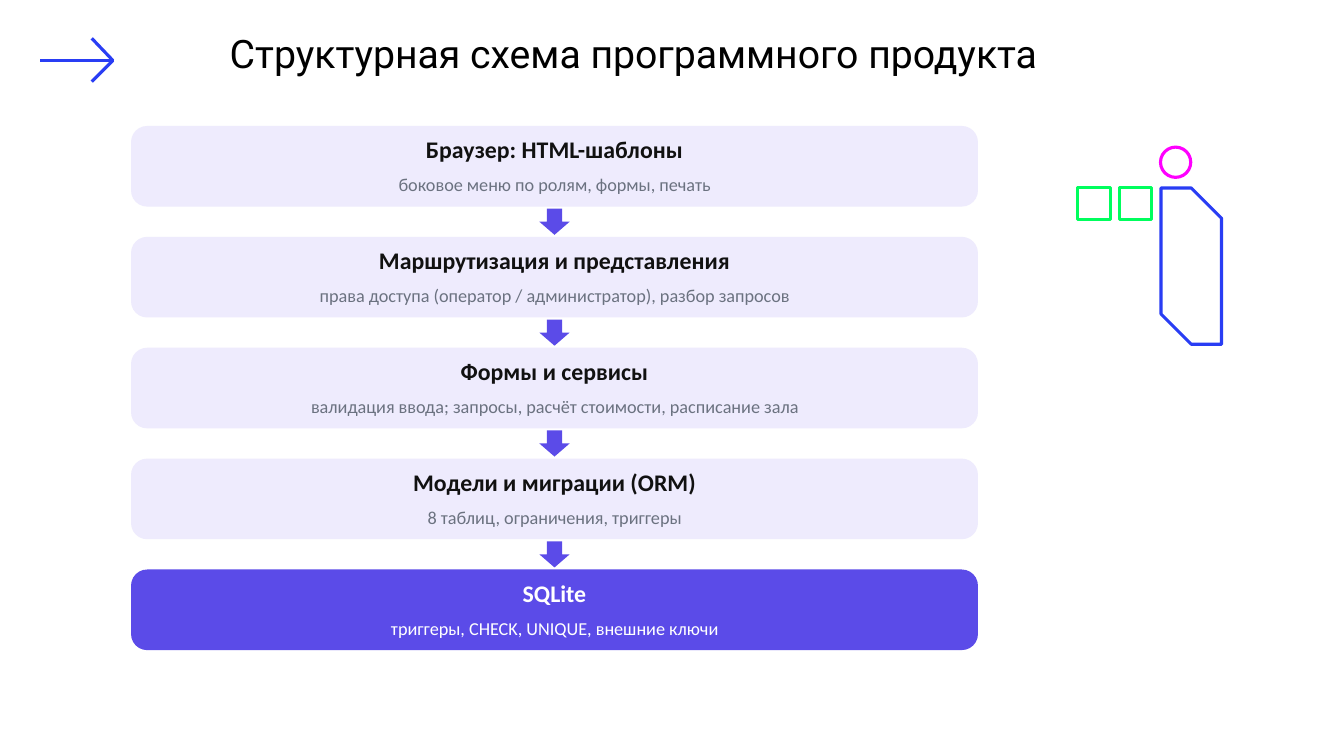
from lxml.etree import SubElement
from pptx import Presentation
from pptx.dml.color import RGBColor
from pptx.enum.shapes import MSO_CONNECTOR, MSO_SHAPE
from pptx.enum.text import MSO_AUTO_SIZE, PP_ALIGN
from pptx.oxml.ns import qn
from pptx.util import Inches, Pt

BLUE, MAGENTA, GREEN = "293DF4", "FF00FF", "00FE5D"
VIOLET, LAVENDER = "5B4BE8", "EEEBFD"
BLACK, INK, GRAY, WHITE = "000000", "111111", "6B7280", "FFFFFF"

LAYERS = [
    ("Браузер: HTML-шаблоны", "боковое меню по ролям, формы, печать"),
    ("Маршрутизация и представления",
     "права доступа (оператор / администратор), разбор запросов"),
    ("Формы и сервисы",
     "валидация ввода; запросы, расчёт стоимости, расписание зала"),
    ("Модели и миграции (ORM)", "8 таблиц, ограничения, триггеры"),
    ("SQLite", "триггеры, CHECK, UNIQUE, внешние ключи"),
]
LAYER_TOP, LAYER_STEP = 1.25, 1.1


def color(value):
    return RGBColor.from_string(value)


def place(left, top, width, height):
    return Inches(left), Inches(top), Inches(width), Inches(height)


def add_text(page, area, text, size, font, ink, bold=False, centered=True):
    box = page.shapes.add_textbox(*place(*area))
    frame = box.text_frame
    frame.word_wrap = True
    frame.auto_size = MSO_AUTO_SIZE.SHAPE_TO_FIT_TEXT
    para = frame.paragraphs[0]
    if centered:
        para.alignment = PP_ALIGN.CENTER
        para.space_after = Pt(6)
    span = para.add_run()
    span.text = text
    span.font.size = Pt(size)
    span.font.name = font
    span.font.bold = bold
    span.font.color.rgb = color(ink)


def add_filled(page, kind, area, fill):
    shape = page.shapes.add_shape(kind, *place(*area))
    shape.shadow.inherit = False
    shape.fill.solid()
    shape.fill.fore_color.rgb = color(fill)
    shape.line.fill.background()
    return shape


def add_outline(page, kind, area, stroke):
    shape = page.shapes.add_shape(kind, *place(*area))
    shape.shadow.inherit = False
    shape.fill.background()
    shape.line.color.rgb = color(stroke)
    shape.line.width = Pt(2.25)
    shape.rotation = 90
    return shape


def add_line(page, start, end):
    line = page.shapes.add_connector(
        MSO_CONNECTOR.STRAIGHT, *place(*start, *end))
    line.line.color.rgb = color(BLUE)
    line.line.width = Pt(2.25)
    SubElement(line._element.spPr, qn("a:effectLst"))


def add_layer(page, top, heading, detail, is_last):
    panel = add_filled(page, MSO_SHAPE.ROUNDED_RECTANGLE, (1.3, top, 8.4, 0.8),
                       VIOLET if is_last else LAVENDER)
    panel.adjustments[0] = 0.2
    add_text(page, (1.4, top + 0.04, 8.2, 0.4), heading, 17, "Calibri",
             WHITE if is_last else INK, bold=True)
    add_text(page, (1.4, top + 0.42, 8.2, 0.4), detail, 13, "Calibri",
             WHITE if is_last else GRAY)
    if not is_last:
        add_filled(page, MSO_SHAPE.DOWN_ARROW, (5.35, top + 0.82, 0.3, 0.26),
                   VIOLET)


def add_ornament(page):
    column = add_outline(page, MSO_SHAPE.SNIP_2_DIAG_RECTANGLE,
                         (11.04, 2.34, 1.55, 0.6), BLUE)
    column.adjustments[0] = 0.5
    column.adjustments[1] = 0
    add_outline(page, MSO_SHAPE.OVAL, (11.51, 1.46, 0.3, 0.3), MAGENTA)
    for left in (11.1, 10.69):
        add_outline(page, MSO_SHAPE.RECTANGLE, (left, 1.86, 0.32, 0.32), GREEN)


def main():
    deck = Presentation()
    deck.slide_width, deck.slide_height = Inches(13.33), Inches(7.5)
    page = deck.slides.add_slide(deck.slide_layouts[6])

    # Title with its long arrow
    add_text(page, (2.18, 0.24, 9.62, 0.57),
             "Структурная схема программного продукта", 28, "Roboto", BLACK,
             centered=False)
    add_line(page, (0.4, 0.6), (1.13, 0.6))
    for barb_end in (0.38, 0.81):
        add_line(page, (1.12, 0.6), (0.91, barb_end))

    # Geometric ornament on the right
    add_ornament(page)

    # Stack of software layers
    for index, (heading, detail) in enumerate(LAYERS):
        add_layer(page, LAYER_TOP + index * LAYER_STEP, heading, detail,
                  is_last=index == len(LAYERS) - 1)

    deck.save("out.pptx")


if __name__ == "__main__":
    main()
